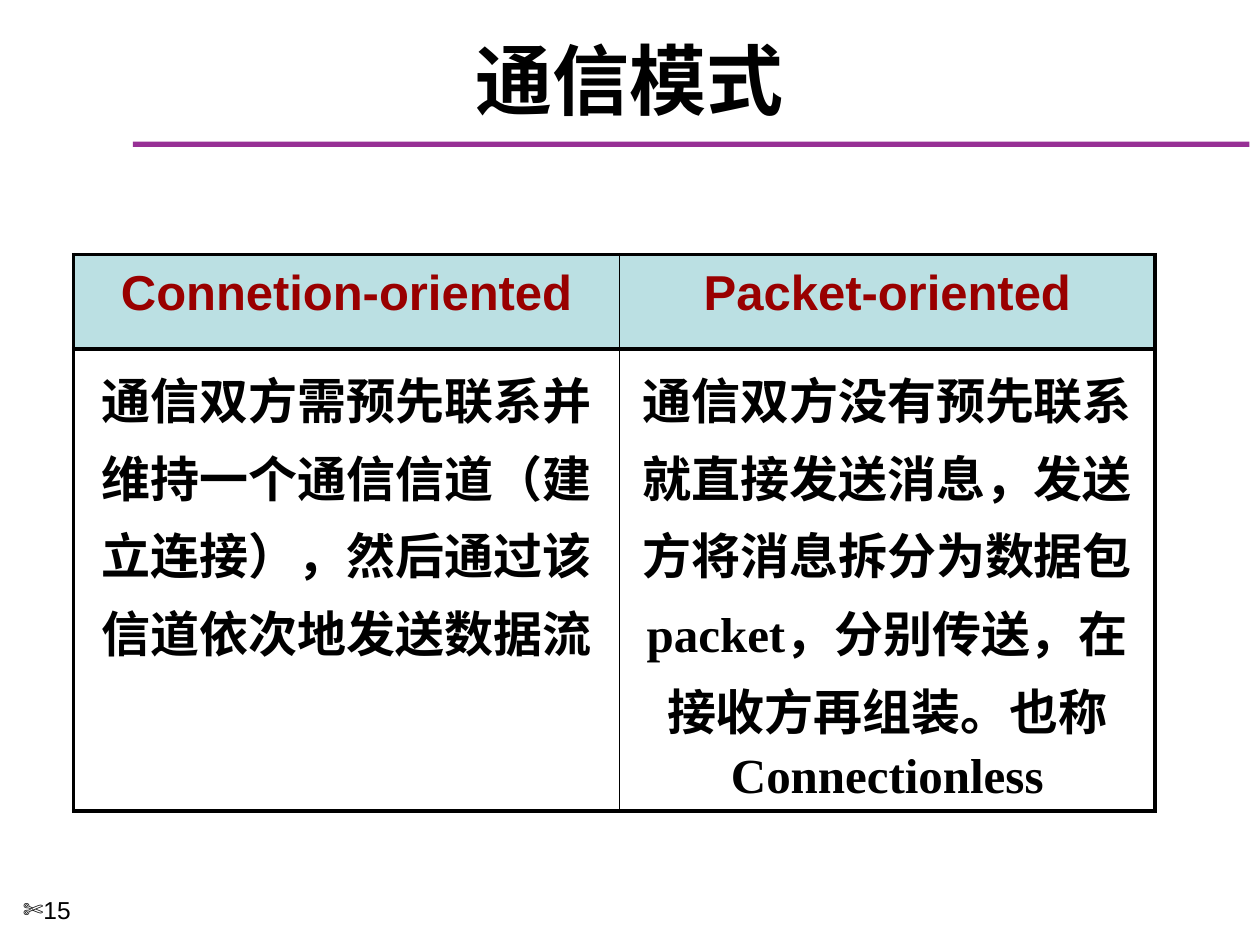
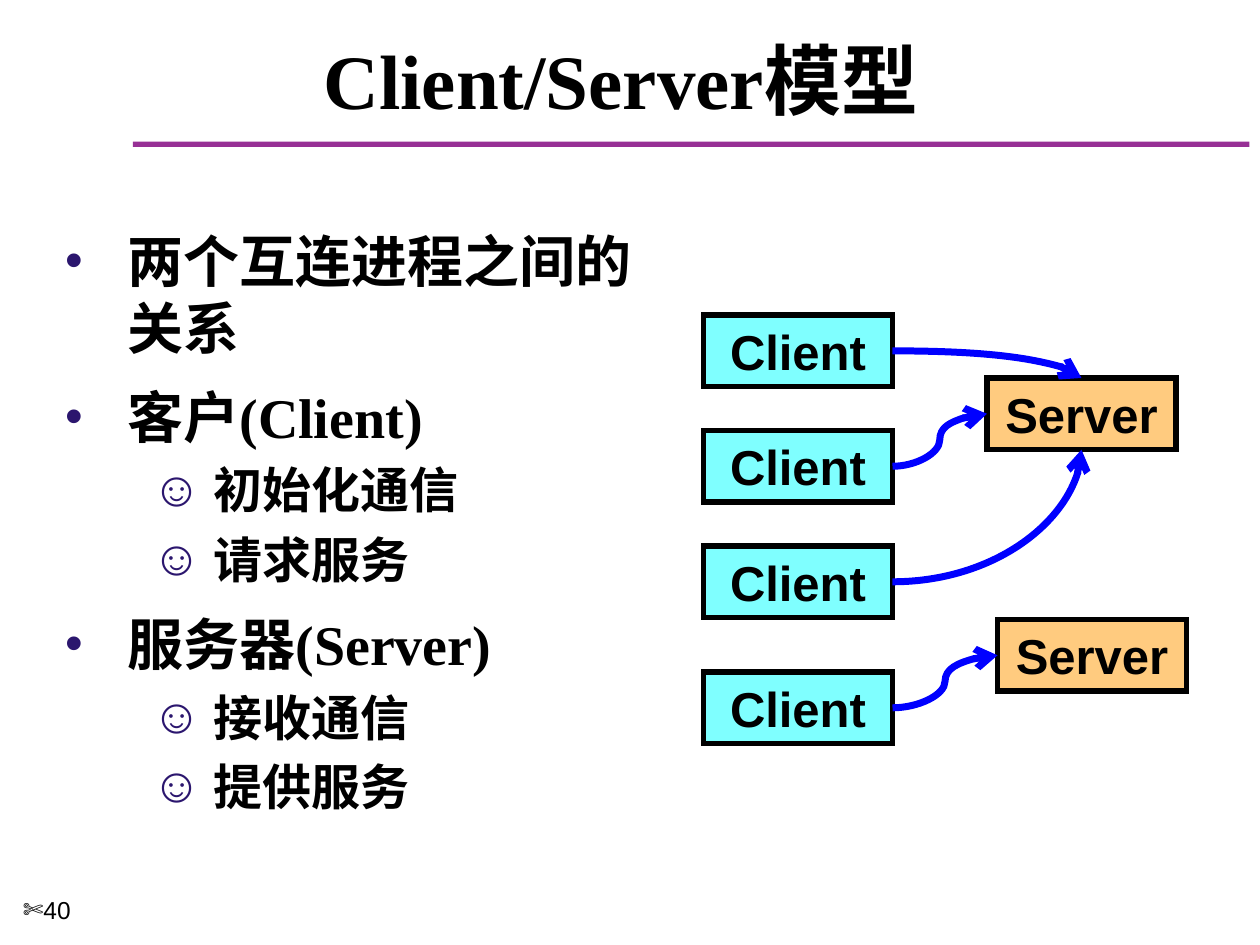
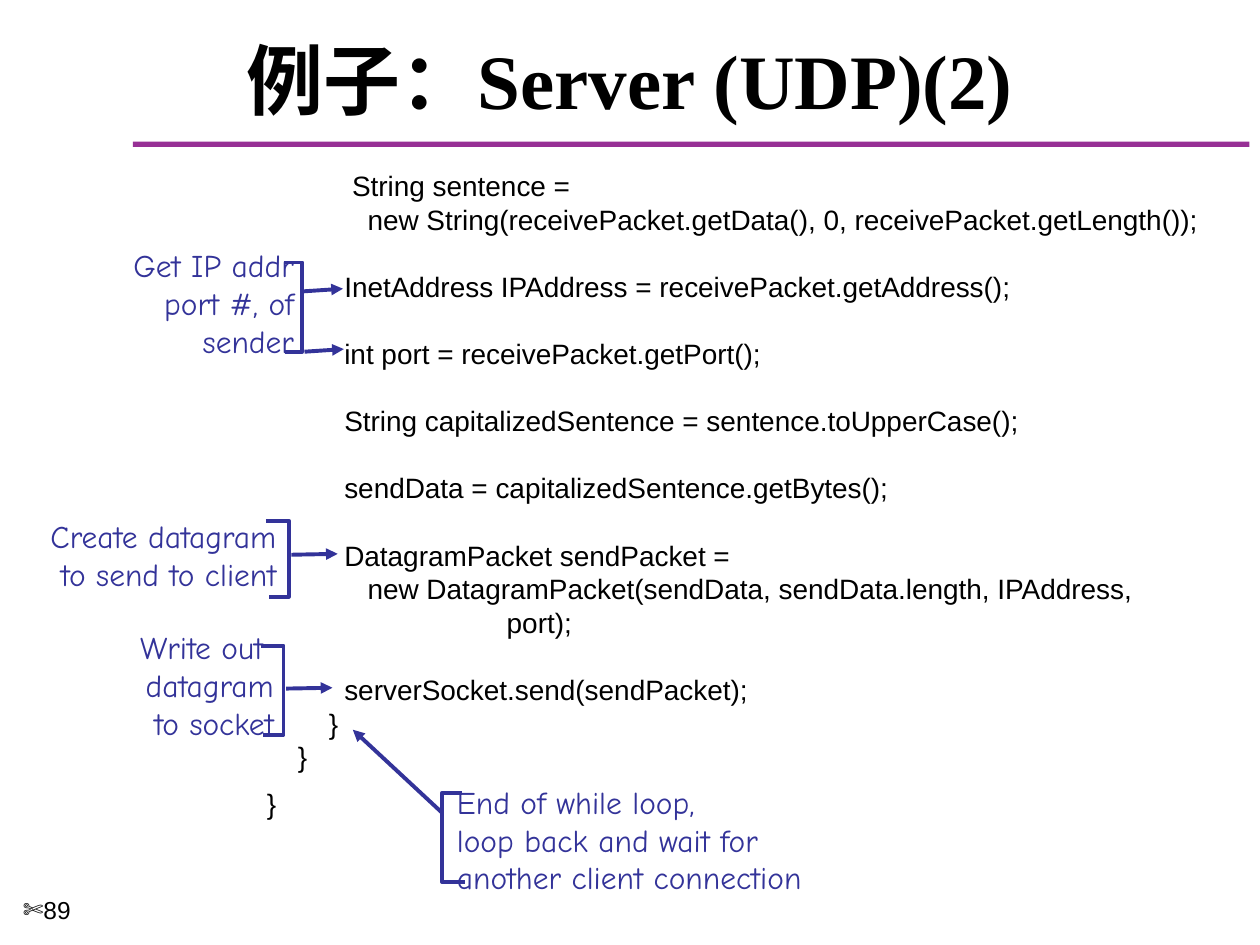
"""Build three slides on network communication models and UDP servers."""
import pptx
import pptx.dml.color
import pptx.enum.shapes
import pptx.enum.text
import pptx.oxml
import pptx.oxml.ns
import pptx.util

Pt = pptx.util.Pt
RGBColor = pptx.dml.color.RGBColor
ALIGN = pptx.enum.text.PP_ALIGN
ANCHOR = pptx.enum.text.MSO_ANCHOR
CONNECTOR = pptx.enum.shapes.MSO_CONNECTOR
qn = pptx.oxml.ns.qn

BLACK = RGBColor(0x00, 0x00, 0x00)
PURPLE = RGBColor(0x97, 0x30, 0x95)
DARK_RED = RGBColor(0x99, 0x00, 0x00)
PALE_TEAL = RGBColor(0xBB, 0xE0, 0xE3)
BULLET_INDIGO = RGBColor(0x2B, 0x16, 0x6E)
CYAN = RGBColor(0x00, 0xFF, 0xFF)
ORANGE = RGBColor(0xFF, 0x99, 0x00)
BLUE = RGBColor(0x00, 0x00, 0xFF)
NOTE_BLUE = RGBColor(0x33, 0x33, 0x99)

SANS = "Arial"
SERIF = "Times New Roman"
CHINESE = "Noto Sans CJK SC"
HANDWRITING = "Comic Neue"

TITLE_ONLY, TITLE_AND_BODY = 5, 1
TOP, LEFT, BOTTOM, RIGHT = range(4)


def add_xml(parent, tag, index=None, **attributes):
    element = pptx.oxml.parse_xml(f"<a:{tag} {pptx.oxml.ns.nsdecls('a')}/>")
    for name, value in attributes.items():
        element.set(name, str(value))
    parent.insert(len(parent) if index is None else index, element)
    return element


def write(paragraph, text, size=28, font=SANS, color=BLACK, bold=False):
    run = paragraph.add_run()
    run.text = text
    run.font.size = Pt(size)
    run.font.bold = bold
    run.font.color.rgb = color
    run.font.name = font
    add_xml(run.font._element, "ea", typeface=CHINESE)


def add_bullet(paragraph, character, color, margin=0, hanging=0, percent=100):
    properties = paragraph._p.get_or_add_pPr()
    properties.set("marL", str(Pt(margin)))
    properties.set("indent", str(Pt(-hanging)))
    add_xml(add_xml(properties, "buClr"), "srgbClr", val=color)
    add_xml(properties, "buSzPct", val=percent * 1000)
    add_xml(properties, "buFont", typeface=SANS)
    add_xml(properties, "buChar", char=character)


def place(shape, left, top, width, height):
    shape.left, shape.top = Pt(left), Pt(top)
    shape.width, shape.height = Pt(width), Pt(height)


def paragraphs_for(frame, items):
    for index, item in enumerate(items):
        yield index, frame.add_paragraph() if index else frame.paragraphs[0], item


class Deck:
    """Hold the shared style and the current slide."""

    def __init__(self):
        self.presentation = pptx.Presentation()
        self.presentation.slide_width = Pt(720)
        self.presentation.slide_height = Pt(540)
        self.slide = None

    def start_slide(self, title, number, font=SERIF, layout=TITLE_ONLY):
        self.slide = self.presentation.slides.add_slide(
            self.presentation.slide_layouts[layout])
        self.rectangle(76, 81, 638, 3, PURPLE)
        shape = self.slide.shapes.title
        place(shape, 12, 18, 696, 54)
        frame = shape.text_frame
        frame.auto_size = pptx.enum.text.MSO_AUTO_SIZE.NONE
        frame.vertical_anchor = ANCHOR.MIDDLE
        frame.paragraphs[0].alignment = ALIGN.CENTER
        write(frame.paragraphs[0], title, size=44, font=font, bold=True)
        footer = self.text_box(6, 508, 78, 32).paragraphs[0]
        add_bullet(footer, "✄", BLACK)
        write(footer, str(number), size=14)

    def rectangle(self, left, top, width, height, color):
        shape = self.slide.shapes.add_shape(
            pptx.enum.shapes.MSO_SHAPE.RECTANGLE,
            Pt(left), Pt(top), Pt(width), Pt(height))
        shape.shadow.inherit = False
        shape.fill.solid()
        shape.fill.fore_color.rgb = color
        shape.line.fill.background()
        return shape

    def text_box(self, left, top, width, height, anchor=ANCHOR.TOP):
        frame = self.slide.shapes.add_textbox(
            Pt(left), Pt(top), Pt(width), Pt(height)).text_frame
        frame.word_wrap = True
        frame.vertical_anchor = anchor
        return frame

    def node(self, label, left, top, color):
        shape = self.rectangle(left, top, 108, 41, color)
        fill_color = shape._element.spPr.find(qn("a:solidFill"))[0]
        add_xml(fill_color, "alpha", val=50000)
        shape.line.color.rgb = BLACK
        shape.line.width = Pt(3)
        add_xml(shape.line._get_or_add_ln(), "miter", lim=800000)
        frame = shape.text_frame
        frame.vertical_anchor = ANCHOR.MIDDLE
        frame.paragraphs[0].alignment = ALIGN.CENTER
        write(frame.paragraphs[0], label, bold=True)
        return shape

    def arrow(self, kind, start, end, color, width, head):
        connector = self.slide.shapes.add_connector(
            kind, *(Pt(value) for value in (*start, *end)))
        connector.line.color.rgb = color
        connector.line.width = Pt(width)
        add_xml(connector.line._get_or_add_ln(), "tailEnd", type=head)
        add_xml(connector._element.spPr, "effectLst")
        return connector

    def curve(self, client, server, side):
        connector = self.arrow(CONNECTOR.CURVE, (0, 0), (0, 0), BLUE, 4, "arrow")
        connector.begin_connect(client, RIGHT)
        connector.end_connect(server, side)
        if side != LEFT:
            geometry = connector._element.spPr.find(qn("a:prstGeom"))
            geometry.set("prst", "curvedConnector2")

    def bracket(self, spine, top, bottom, top_tip, bottom_tip):
        builder = self.slide.shapes.build_freeform(Pt(top_tip), Pt(top))
        builder.add_line_segments(
            [(Pt(spine), Pt(top)), (Pt(spine), Pt(bottom)),
             (Pt(bottom_tip), Pt(bottom))], close=False)
        shape = builder.convert_to_shape()
        shape.shadow.inherit = False
        shape.fill.background()
        shape.line.color.rgb = NOTE_BLUE
        shape.line.width = Pt(2.25)

    def note(self, lines, box, bracket, arrows, alignment=ALIGN.RIGHT):
        frame = self.text_box(*box, anchor=ANCHOR.MIDDLE)
        for _, paragraph, line in paragraphs_for(frame, lines):
            paragraph.alignment = alignment
            write(paragraph, line, size=18, font=HANDWRITING, color=NOTE_BLUE)
        self.bracket(*bracket)
        for start, end in arrows:
            self.arrow(CONNECTOR.STRAIGHT, start, end, NOTE_BLUE, 2.25, "triangle")

    def bullets(self, items):
        shape = self.slide.placeholders[1]
        place(shape, 30, 126, 360, 384)
        frame = shape.text_frame
        frame.auto_size = pptx.enum.text.MSO_AUTO_SIZE.NONE
        frame.margin_top = Pt(3)
        for index, paragraph, (level, text) in paragraphs_for(frame, items):
            paragraph.level = level
            paragraph.line_spacing = Pt(33.6 if level else 38.6)
            paragraph.space_before = Pt((6 if level else 12) if index else 0)
            if level:
                add_bullet(paragraph, "☺", BULLET_INDIGO, 85, 35.5)
                write(paragraph, text, font=CHINESE, bold=True)
            else:
                add_bullet(paragraph, "•", BULLET_INDIGO, 35.5, 35.5, percent=90)
                write(paragraph, text, size=32, font=SERIF, bold=True)

    def code(self, groups, box):
        frame = self.text_box(*box, anchor=ANCHOR.MIDDLE)
        lines = [(line, gap if position == 0 else 0)
                 for gap, group in groups for position, line in enumerate(group)]
        for _, paragraph, (line, gap) in paragraphs_for(frame, lines):
            paragraph.line_spacing = Pt(19.2)
            paragraph.space_before = Pt(gap)
            write(paragraph, line, size=16)

    def table(self, rows, left, top, widths, heights):
        table = self.slide.shapes.add_table(
            len(rows), len(widths), Pt(left), Pt(top),
            Pt(sum(widths)), Pt(sum(heights))).table
        table.first_row = table.horz_banding = False
        for column, width in zip(table.columns, widths):
            column.width = Pt(width)
        for row, height in zip(table.rows, heights):
            row.height = Pt(height)
        for row_index, row in enumerate(rows):
            for column_index, runs in enumerate(row):
                cell = table.cell(row_index, column_index)
                if row_index == 0:
                    cell.fill.solid()
                    cell.fill.fore_color.rgb = PALE_TEAL
                else:
                    cell.fill.background()
                self.borders(cell, column_index == 0, column_index == len(row) - 1)
                paragraph = cell.text_frame.paragraphs[0]
                paragraph.alignment = ALIGN.CENTER
                paragraph.line_spacing = 1.1
                for text, font in runs:
                    write(paragraph, text, font=font, bold=True,
                          color=BLACK if row_index else DARK_RED)

    def borders(self, cell, first, last):
        properties = cell._tc.get_or_add_tcPr()
        widths = {"lnL": 2.25 if first else 1, "lnR": 2.25 if last else 1,
                  "lnT": 2.25, "lnB": 2.25}
        for index, (tag, width) in enumerate(widths.items()):
            line = add_xml(properties, tag, index, w=int(Pt(width)))
            add_xml(add_xml(line, "solidFill"), "srgbClr", val=BLACK)


def build_modes(deck):
    deck.start_slide("通信模式", 15, font=CHINESE)
    deck.table(
        [[[("Connetion-oriented", SANS)], [("Packet-oriented", SANS)]],
         [[("通信双方需预先联系并维持一个通信信道（建立连接），"
            "然后通过该信道依次地发送数据流", CHINESE)],
          [("通信双方没有预先联系就直接发送消息，发送方将消息拆分为数据包", CHINESE),
           ("packet，分别传送，在接收方再组装。也称Connectionless", SERIF)]]],
        left=42, top=145.5, widths=(312, 306), heights=(54, 264))


def build_client_server(deck):
    deck.start_slide("Client/Server模型 ", 40, layout=TITLE_AND_BODY)
    deck.bullets([
        (0, "两个互连进程之间的关系"),
        (0, "客户(Client)"), (1, "初始化通信"), (1, "请求服务"),
        (0, "服务器(Server)"), (1, "接收通信"), (1, "提供服务")])
    clients = [deck.node("Client", 402, top, CYAN) for top in (180, 246, 312, 384)]
    shared_server = deck.node("Server", 564, 216, ORANGE)
    single_server = deck.node("Server", 570, 354, ORANGE)
    servers = [shared_server] * 3 + [single_server]
    for client, server, side in zip(clients, servers, (TOP, LEFT, BOTTOM, LEFT)):
        deck.curve(client, server, side)


def build_udp_server(deck):
    deck.start_slide("例子：Server (UDP)(2)", 89)
    blank_line = 19.2
    deck.code([
        (0, ["           String sentence =",
             "             new String(receivePacket.getData(), 0, "
             "receivePacket.getLength());"]),
        (blank_line, ["          InetAddress IPAddress = receivePacket.getAddress();"]),
        (blank_line, ["          int port = receivePacket.getPort();"]),
        (blank_line, ["          String capitalizedSentence = sentence.toUpperCase();"]),
        (blank_line, ["          sendData = capitalizedSentence.getBytes();"]),
        (blank_line, ["          DatagramPacket sendPacket =",
                      "             new DatagramPacket(sendData, sendData.length, IPAddress,",
                      "                               port);"]),
        (blank_line, ["          serverSocket.send(sendPacket);",
                      "        }",
                      "    }"]),
        (7.5, ["}"])], box=(145.5, 90, 559, 385))
    deck.note(["Get IP addr", "port #, of", "sender"], (10, 137, 165, 72.5),
              (172.8, 150, 201, 162, 163),
              [((174, 201), (196.5, 199.5)), ((173.5, 166.5), (196, 165))])
    deck.note(["Create datagram", "to send to client"], (8, 291.5, 157, 51),
              (165, 297.5, 341, 152, 153.5), [((166.5, 317), (193, 316.5))])
    deck.note(["Write out ", "datagram", "to socket"], (59, 355, 104.5, 72.5),
              (162, 369, 420, 149, 150.5), [((163.5, 393.5), (190, 393))])
    deck.note(["End of while loop,", "loop back and wait for",
               "another client connection"], (254, 443.5, 229, 72.5),
              (252.7, 453, 504, 264, 265.7), [((252.7, 464.5), (201.6, 417))],
              alignment=ALIGN.LEFT)


def main():
    deck = Deck()
    build_modes(deck)
    build_client_server(deck)
    build_udp_server(deck)
    deck.presentation.save("out.pptx")


if __name__ == "__main__":
    main()
